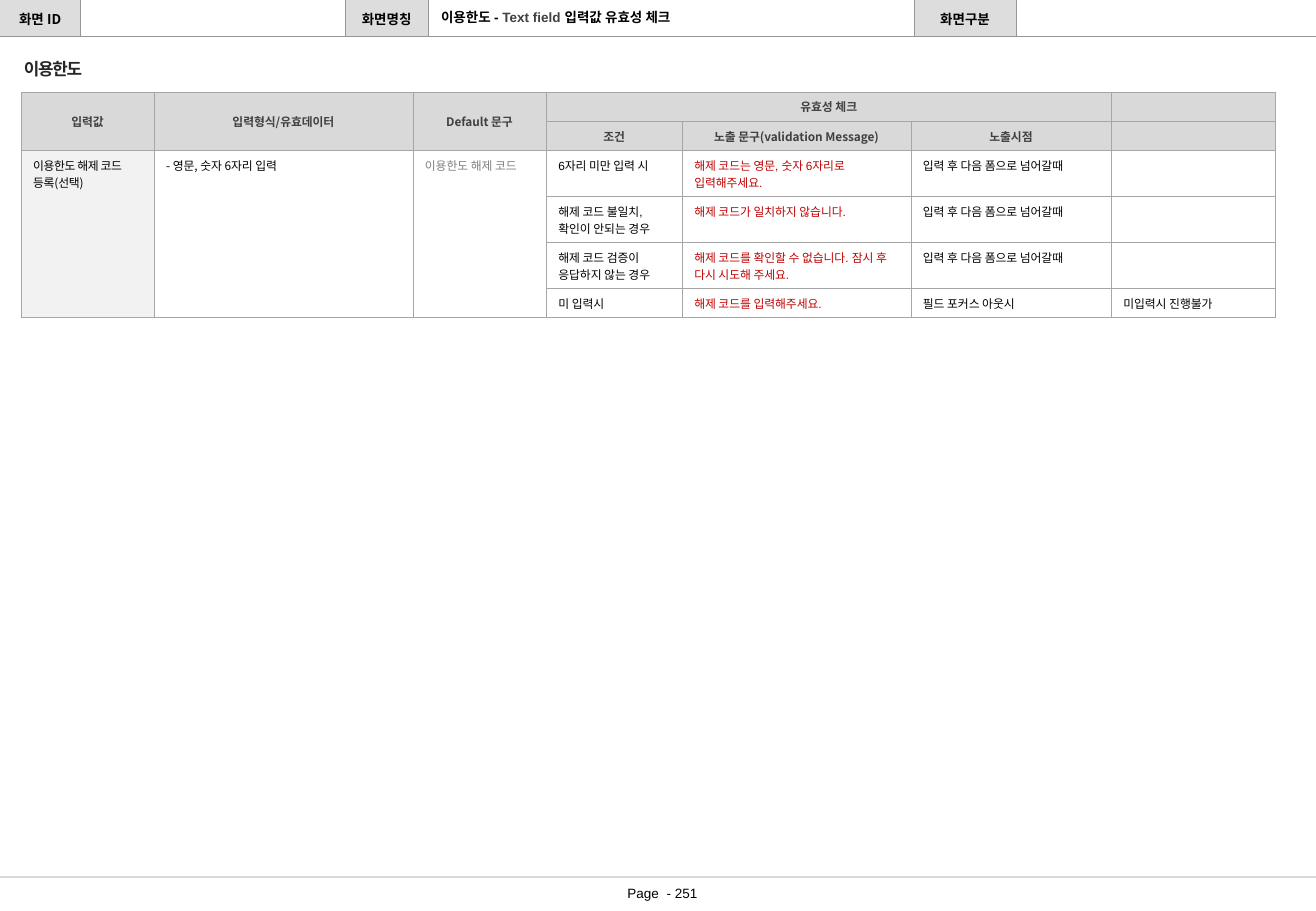
from lxml import etree
from pptx import Presentation
from pptx.dml.color import RGBColor
from pptx.enum import shapes, text
from pptx.oxml import ns
from pptx.util import Cm, Pt

KOREAN, LATIN = "Noto Sans CJK KR", "Arial"
BLACK, DARK, GREY, RED = "000000", "404040", "808080", "C00000"
WHITE, PALE, HEAD, LABEL = "FFFFFF", "F2F2F2", "D9D9D9", "DDDDDD"
WIDTH, HEIGHT = 27.51, 19.05
FOOTER_TOP = 18.34

# Screen header: label cells alternate with empty value cells
HEADER = ["화면 ID", "", "화면명칭", "", "화면구분", ""]
HEADER_COLUMNS = [1.68, 5.54, 1.73, 10.16, 2.13, 6.27]
HEADER_ROWS = [0.76, 17.58]

# Validation table
COLUMNS = [2.78, 5.41, 2.79, 2.84, 4.78, 4.19, 3.43]
ROWS = [0.61, 0.61, 0.96, 0.96, 0.96, 0.61]
HEADINGS = [
    ["입력값", "입력형식/유효데이터", "Default 문구", "유효성 체크", "", "", ""],
    ["", "", "", "조건", "노출 문구(validation Message)", "노출시점", ""],
]
FIELD = [
    ("이용한도 해제 코드 등록(선택)", BLACK, PALE, -0.2),
    ("- 영문, 숫자 6자리 입력", BLACK, WHITE, 0),
    ("이용한도 해제 코드", GREY, WHITE, 0),
]
NEXT_FORM = "입력 후 다음 폼으로 넘어갈때"
CHECKS = [
    ("6자리 미만 입력 시", "해제 코드는 영문, 숫자 6자리로 입력해주세요.", NEXT_FORM, ""),
    ("해제 코드 불일치, 확인이 안되는 경우", "해제 코드가 일치하지 않습니다.", NEXT_FORM, ""),
    ("해제 코드 검증이 응답하지 않는 경우",
     "해제 코드를 확인할 수 없습니다. 잠시 후 다시 시도해 주세요.", NEXT_FORM, ""),
    ("미 입력시", "해제 코드를 입력해주세요.", "필드 포커스 아웃시", "미입력시 진행불가"),
]
CHECK_STYLES = [(LATIN, BLACK), (LATIN, RED), (KOREAN, BLACK), (KOREAN, BLACK)]
MERGES = [(0, 0, 1, 0), (0, 1, 1, 1), (0, 2, 1, 2), (0, 3, 0, 5),
          (2, 0, 5, 0), (2, 1, 5, 1), (2, 2, 5, 2)]

SUBTITLE = [("이용한도 - ", BLACK), ("Text field ", DARK), ("입력값 유효성 체크", BLACK)]


def rgb(colour):
    return RGBColor.from_string(colour)


def add_run(paragraph, words, size, colour, font=KOREAN, bold=False, spacing=0):
    run = paragraph.add_run()
    run.text = words
    run.font.size = Pt(size)
    run.font.bold = bold
    run.font.name = font
    run.font.color.rgb = rgb(colour)
    properties = run._r.get_or_add_rPr()
    if spacing:
        properties.set("spc", str(round(spacing * 100)))
    etree.SubElement(properties, ns.qn("a:ea"), typeface=KOREAN)


def add_table(left, top, columns, rows):
    frame = slide.shapes.add_table(len(rows), len(columns), Cm(left), Cm(top),
                                   Cm(sum(columns)), Cm(sum(rows)))
    table = frame.table
    table.first_row = table.horz_banding = False
    for column, width in zip(table.columns, columns):
        column.width = Cm(width)
    for row, height in zip(table.rows, rows):
        row.height = Cm(height)
    return table


def style_cell(cell, fill, border, sides="LRTB"):
    """Set the fill, a line on the given sides only, and a small size for empty text."""
    properties = cell._tc.get_or_add_tcPr()
    for side in "LRTB":
        line = etree.SubElement(properties, ns.qn(f"a:ln{side}"), w=str(Pt(0.25)))
        if side in sides:
            solid = etree.SubElement(line, ns.qn("a:solidFill"))
            etree.SubElement(solid, ns.qn("a:srgbClr"), val=border)
        else:
            etree.SubElement(line, ns.qn("a:noFill"))
    cell.fill.solid()
    cell.fill.fore_color.rgb = rgb(fill)
    etree.SubElement(cell.text_frame.paragraphs[0]._p, ns.qn("a:endParaRPr"), sz="700")


def write_cell(cell, words, size, colour, centred=False, **font):
    if centred:
        cell.vertical_anchor = text.MSO_ANCHOR.MIDDLE
        cell.text_frame.paragraphs[0].alignment = text.PP_ALIGN.CENTER
    if words:
        add_run(cell.text_frame.paragraphs[0], words, size, colour, **font)


def add_text(left, top, width, height, margins, wrap, align, anchor):
    box = slide.shapes.add_textbox(Cm(left), Cm(top), Cm(width), Cm(height))
    frame = box.text_frame
    frame.word_wrap = wrap
    frame.vertical_anchor = anchor
    frame.margin_left = frame.margin_right = Cm(margins[0])
    frame.margin_top = frame.margin_bottom = Cm(margins[1])
    frame.paragraphs[0].alignment = align
    return frame.paragraphs[0]


presentation = Presentation()
presentation.slide_width, presentation.slide_height = Cm(WIDTH), Cm(HEIGHT)
slide = presentation.slides.add_slide(presentation.slide_layouts[6])

header = add_table(0, 0, HEADER_COLUMNS, HEADER_ROWS)
for index, label in enumerate(HEADER):
    cell = header.cell(0, index)
    style_cell(cell, LABEL if label else WHITE, "969696", "LRB" if index else "RB")
    cell.margin_left = cell.margin_right = Cm(0.2)
    write_cell(cell, label, 8, BLACK, centred=True, bold=True)
    style_cell(header.cell(1, index), WHITE, "969696", "T")
header.cell(1, 0).merge(header.cell(1, len(HEADER) - 1))

page = add_text(12.35, 18.31, 3, 0.74, (0.25, 0.13), True,
                text.PP_ALIGN.CENTER, text.MSO_ANCHOR.MIDDLE)
add_run(page, "Page  - 251", 8, BLACK, LATIN)

rule = slide.shapes.add_connector(shapes.MSO_CONNECTOR.STRAIGHT,
                                  0, Cm(FOOTER_TOP), Cm(WIDTH), Cm(FOOTER_TOP))
rule.line.color.rgb = rgb(HEAD)
rule.line.width = Pt(0.75)
etree.SubElement(rule._element.spPr, ns.qn("a:effectLst"))

validation = add_table(0.44, 1.93, COLUMNS, ROWS)
for row in range(len(ROWS)):
    for column in range(len(COLUMNS)):
        fill = HEAD if row < len(HEADINGS) else FIELD[0][2] if column == 0 else WHITE
        style_cell(validation.cell(row, column), fill, "A6A6A6")
for first_row, first_column, last_row, last_column in MERGES:
    validation.cell(first_row, first_column).merge(validation.cell(last_row, last_column))
for row, headings in enumerate(HEADINGS):
    for column, heading in enumerate(headings):
        write_cell(validation.cell(row, column), heading, 7, DARK, centred=True, bold=True)
for column, (words, colour, _, spacing) in enumerate(FIELD):
    write_cell(validation.cell(len(HEADINGS), column), words, 7, colour, spacing=spacing)
for row, check in enumerate(CHECKS, len(HEADINGS)):
    for column, (words, (font, colour)) in enumerate(zip(check, CHECK_STYLES), len(FIELD)):
        write_cell(validation.cell(row, column), words, 7, colour, font=font)

title = add_text(0.45, 1.22, 1.32, 0.43, (0, 0), False,
                 text.PP_ALIGN.CENTER, text.MSO_ANCHOR.TOP)
add_run(title, "이용한도", 10, "262626", LATIN, bold=True, spacing=-0.7)

subtitle = add_text(8.94, 0.05, 9.93, 0.61, (0.28, 0.13), True,
                    text.PP_ALIGN.LEFT, text.MSO_ANCHOR.MIDDLE)
for words, colour in SUBTITLE:
    add_run(subtitle, words, 8, colour, LATIN, bold=True)

presentation.save("out.pptx")
